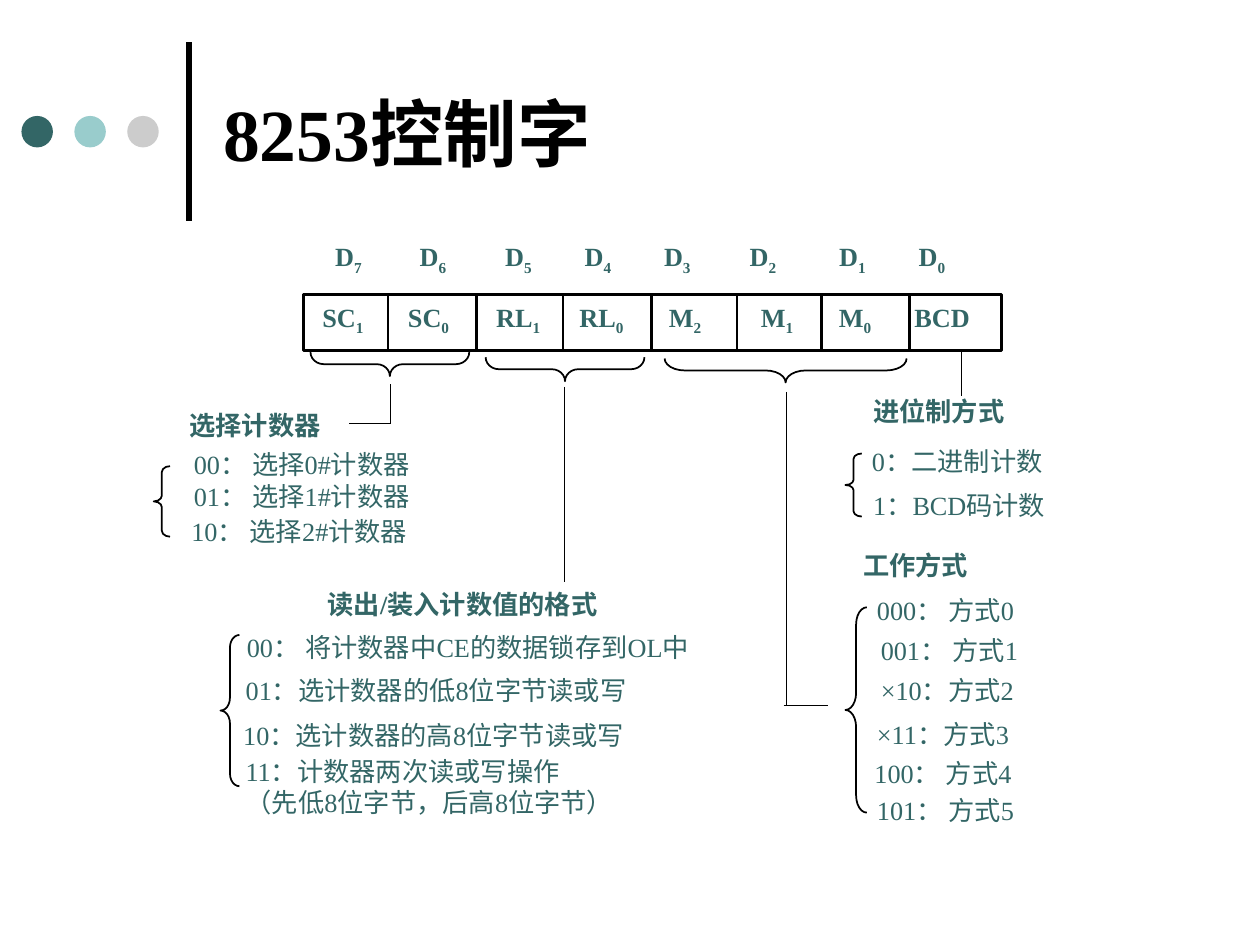
from typing import NamedTuple

from lxml.etree import SubElement
from pptx import Presentation
from pptx.dml.color import RGBColor
from pptx.enum.shapes import MSO_CONNECTOR, MSO_SHAPE
from pptx.enum.text import MSO_ANCHOR, PP_ALIGN
from pptx.oxml.ns import qn
from pptx.util import Inches, Pt

COLORS = {"ink": "000000", "teal": "336666", "aqua": "99CCCC", "grey": "CCCCCC"}
SERIF = "Times New Roman"
LEFT, CENTER = PP_ALIGN.JUSTIFY, PP_ALIGN.CENTER


class Label(NamedTuple):
    left: float
    top: float
    width: float
    text: str
    align: PP_ALIGN = LEFT
    bold: bool = False
    height: float = 0.28


class Brace(NamedTuple):
    left: float
    top: float
    width: float
    height: float
    rotation: int = 0


class Line(NamedTuple):
    x1: float
    y1: float
    x2: float
    y2: float
    weight: float = 0.75


class BitName(NamedTuple):
    left: float
    base: str
    subscript: str = ""


BIT_NUMBERS = [
    BitName(left, "D", str(7 - i))
    for i, left in enumerate([2.66, 3.33, 4.01, 4.64, 5.27, 5.95, 6.66, 7.29])
]
BIT_FIELDS = [
    BitName(2.56, "SC", "1"), BitName(3.24, "SC", "0"),
    BitName(3.94, "RL", "1"), BitName(4.6, "RL", "0"),
    BitName(5.31, "M", "2"), BitName(6.04, "M", "1"),
    BitName(6.66, "M", "0"), BitName(7.26, "BCD"),
]
DIVIDERS = [3.08, 3.78, 4.47, 5.17, 5.85, 6.52, 7.22]
LEADERS = [
    Line(4.48, 3.07, 4.48, 4.62),
    Line(3.1, 3.05, 3.1, 3.36), Line(3.1, 3.36, 2.77, 3.36),
    Line(7.63, 2.79, 7.63, 3.14),
    Line(6.24, 3.11, 6.24, 5.6), Line(6.22, 5.6, 6.57, 5.6),
]
BRACES = [
    Brace(3, 2.26, 0.19, 1.26, 270), Brace(4.39, 2.3, 0.19, 1.26, 270),
    Brace(6.14, 1.98, 0.19, 1.92, 270),
    Brace(6.71, 3.6, 0.13, 0.5), Brace(1.22, 3.7, 0.13, 0.56),
    Brace(1.75, 5.04, 0.15, 1.2), Brace(6.71, 4.82, 0.17, 1.63),
]
LABELS = [
    Label(1.29, 3.25, 1.47, "选择计数器", CENTER, True),
    Label(1.42, 3.56, 1.95, "00： 选择0#计数器", CENTER),
    Label(1.42, 3.81, 1.95, "01： 选择1#计数器", CENTER),
    Label(1.4, 4.09, 1.95, "10： 选择2#计数器", CENTER),
    Label(2.48, 4.67, 2.38, "读出/装入计数值的格式", CENTER, True),
    Label(1.96, 5.01, 4, "00： 将计数器中CE的数据锁存到OL中"),
    Label(1.95, 5.35, 3.95, "01：选计数器的低8位字节读或写"),
    Label(1.93, 5.71, 3.62, "10：选计数器的高8位字节读或写"),
    Label(1.95, 5.99, 3.9, "11：计数器两次读或写操作\n（先低8位字节，后高8位字节）", height=0.59),
    Label(6.93, 3.14, 1.29, "进位制方式", bold=True),
    Label(6.92, 3.53, 1.85, "0：二进制计数"),
    Label(6.93, 3.88, 1.76, "1：BCD码计数"),
    Label(6.85, 4.36, 1.44, "工作方式", bold=True),
    Label(6.96, 4.72, 1.85, "000： 方式0"),
    Label(6.99, 5.03, 1.85, "001： 方式1"),
    Label(6.99, 5.35, 1.71, "×10：方式2"),
    Label(6.96, 5.7, 1.85, "×11：方式3"),
    Label(6.94, 6.01, 1.85, "100： 方式4"),
    Label(6.96, 6.3, 1.85, "101： 方式5"),
]


def rgb(name: str) -> RGBColor:
    return RGBColor.from_string(COLORS[name])


def style(paragraph, bold: bool) -> None:
    font = paragraph.font
    font.name, font.size, font.bold = SERIF, Pt(15), bold
    font.color.rgb = rgb("teal")


def set_insets(frame, horizontal: float, vertical: float) -> None:
    frame.margin_left = frame.margin_right = Inches(horizontal)
    frame.margin_top = frame.margin_bottom = Inches(vertical)
    frame.vertical_anchor = MSO_ANCHOR.TOP
    frame.word_wrap = True


def add_plain_shape(slide, preset, left, top, width, height):
    shape = slide.shapes.add_shape(
        preset, Inches(left), Inches(top), Inches(width), Inches(height))
    shape.shadow.inherit = False
    return shape


def add_outline(slide, preset, left, top, width, height, weight):
    """Add an unfilled shape with a black line."""
    shape = add_plain_shape(slide, preset, left, top, width, height)
    shape.fill.background()
    shape.line.color.rgb = rgb("ink")
    shape.line.width = Pt(weight)
    return shape


def add_line(slide, line: Line) -> None:
    connector = slide.shapes.add_connector(
        MSO_CONNECTOR.STRAIGHT, Inches(line.x1), Inches(line.y1),
        Inches(line.x2), Inches(line.y2))
    connector.line.color.rgb = rgb("ink")
    connector.line.width = Pt(line.weight)
    SubElement(connector._element.spPr, qn("a:effectLst"))


def add_brace(slide, brace: Brace) -> None:
    shape = add_outline(slide, MSO_SHAPE.LEFT_BRACE, *brace[:4], 1)
    shape.rotation = brace.rotation
    shape.adjustments[0] = brace.height / 12 / brace.width


def add_label(slide, label: Label) -> None:
    box = slide.shapes.add_textbox(
        Inches(label.left), Inches(label.top), Inches(label.width), Inches(label.height))
    frame = box.text_frame
    set_insets(frame, 0, 0)
    frame.text = label.text
    for paragraph in frame.paragraphs:
        paragraph.alignment = label.align
        style(paragraph, label.bold)


def write_bits(frame, text_left: float, bits: list[BitName]) -> None:
    """Write the bit names on one line, each at its own tab stop."""
    paragraph = frame.paragraphs[0]
    stops = SubElement(paragraph._p.get_or_add_pPr(), qn("a:tabLst"))
    for bit in bits:
        position = Inches(round(bit.left - text_left, 2))
        SubElement(stops, qn("a:tab"), pos=str(position), algn="l")
        paragraph.add_run().text = "\t" + bit.base
        if bit.subscript:
            subscript = paragraph.add_run()
            subscript.text = bit.subscript
            subscript._r.get_or_add_rPr().set("baseline", "-25000")
    paragraph.alignment = PP_ALIGN.LEFT
    style(paragraph, True)


def add_title(slide) -> None:
    title = slide.shapes.title
    title.left, title.top = Inches(1.67), Inches(0.21)
    title.width, title.height = Inches(8.33), Inches(1.67)
    title.text_frame.vertical_anchor = MSO_ANCHOR.MIDDLE
    paragraph = title.text_frame.paragraphs[0]
    paragraph.alignment = PP_ALIGN.LEFT
    paragraph.font.size, paragraph.font.bold = Pt(42), True
    paragraph.font.color.rgb = rgb("ink")
    for text, face in (("8253", SERIF), ("控制字", "Arial")):
        run = paragraph.add_run()
        run.text, run.font.name = text, face


def add_control_word(slide) -> None:
    register = add_outline(slide, MSO_SHAPE.RECTANGLE, 2.41, 2.34, 5.54, 0.44, 1.5)
    set_insets(register.text_frame, 0.1, 0.05)
    write_bits(register.text_frame, 2.51, BIT_FIELDS)
    header = slide.shapes.add_textbox(Inches(2.43), Inches(1.9), Inches(5.49), Inches(0.31))
    set_insets(header.text_frame, 0.02, 0.01)
    write_bits(header.text_frame, 2.45, BIT_NUMBERS)
    for x in DIVIDERS:
        add_line(slide, Line(x, 2.34, x, 2.78, 1.5))


def main() -> None:
    deck = Presentation()
    deck.slide_width, deck.slide_height = Inches(10), Inches(7.5)
    slide = deck.slides.add_slide(deck.slide_layouts[5])
    add_line(slide, Line(1.5, 1.75, 1.5, 0.33, 3))
    for i, color in enumerate(("teal", "aqua", "grey")):
        dot = add_plain_shape(slide, MSO_SHAPE.OVAL, 0.17 + 0.42 * i, 0.92, 0.25, 0.25)
        dot.fill.solid()
        dot.fill.fore_color.rgb = rgb(color)
        dot.line.fill.background()
    add_title(slide)
    add_control_word(slide)
    for leader in LEADERS:
        add_line(slide, leader)
    for brace in BRACES:
        add_brace(slide, brace)
    for label in LABELS:
        add_label(slide, label)
    deck.save("out.pptx")


if __name__ == "__main__":
    main()
